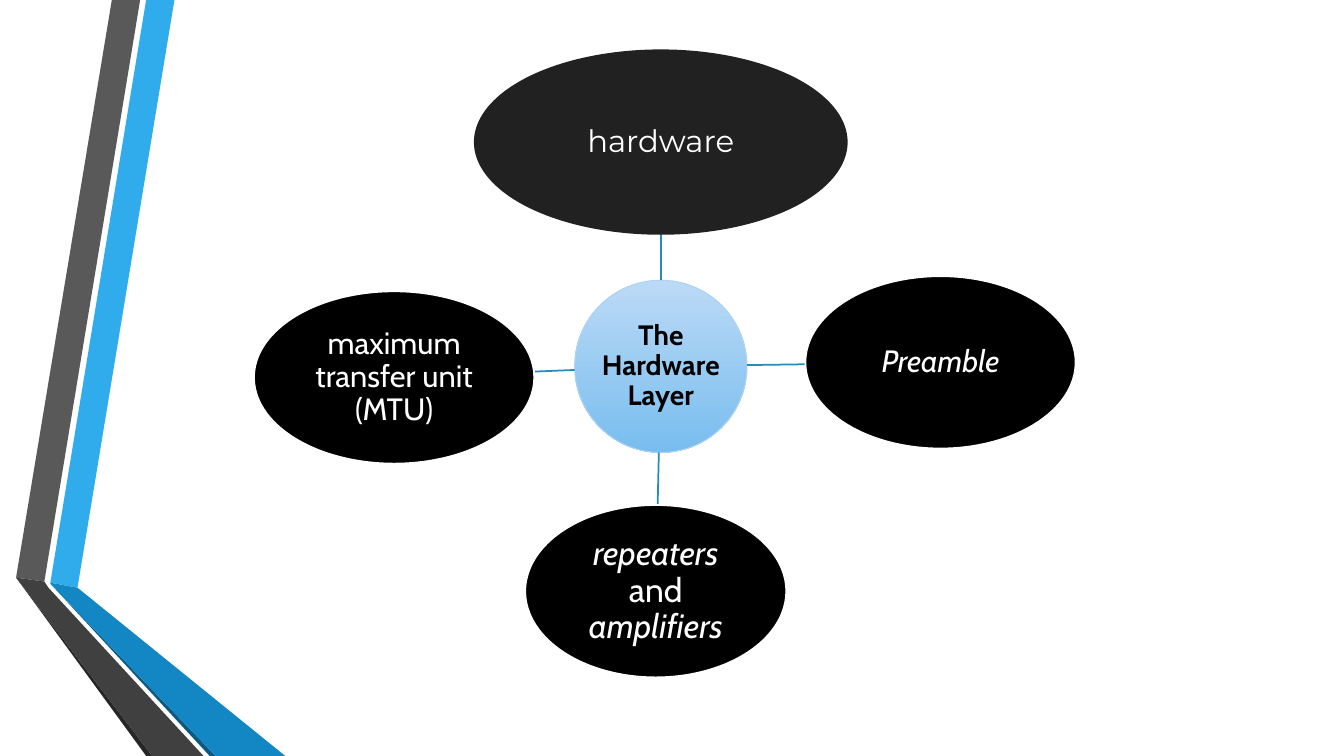
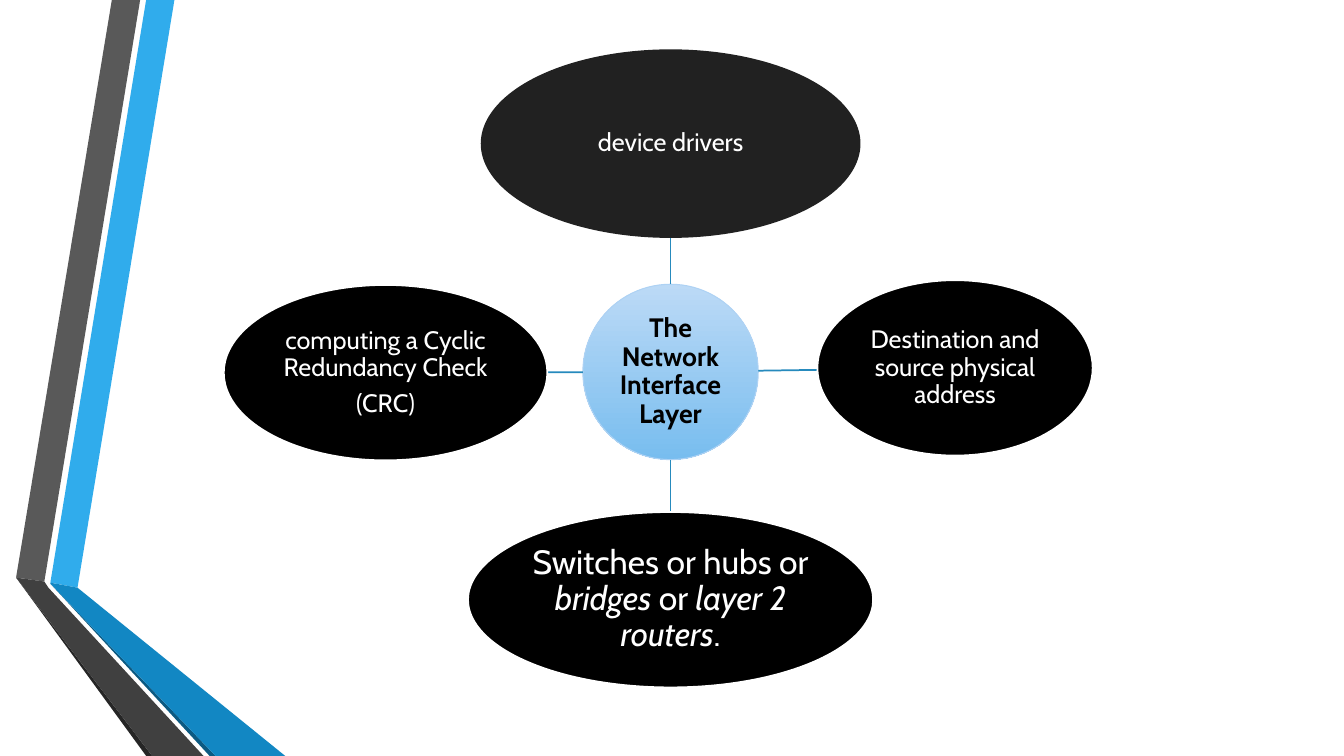
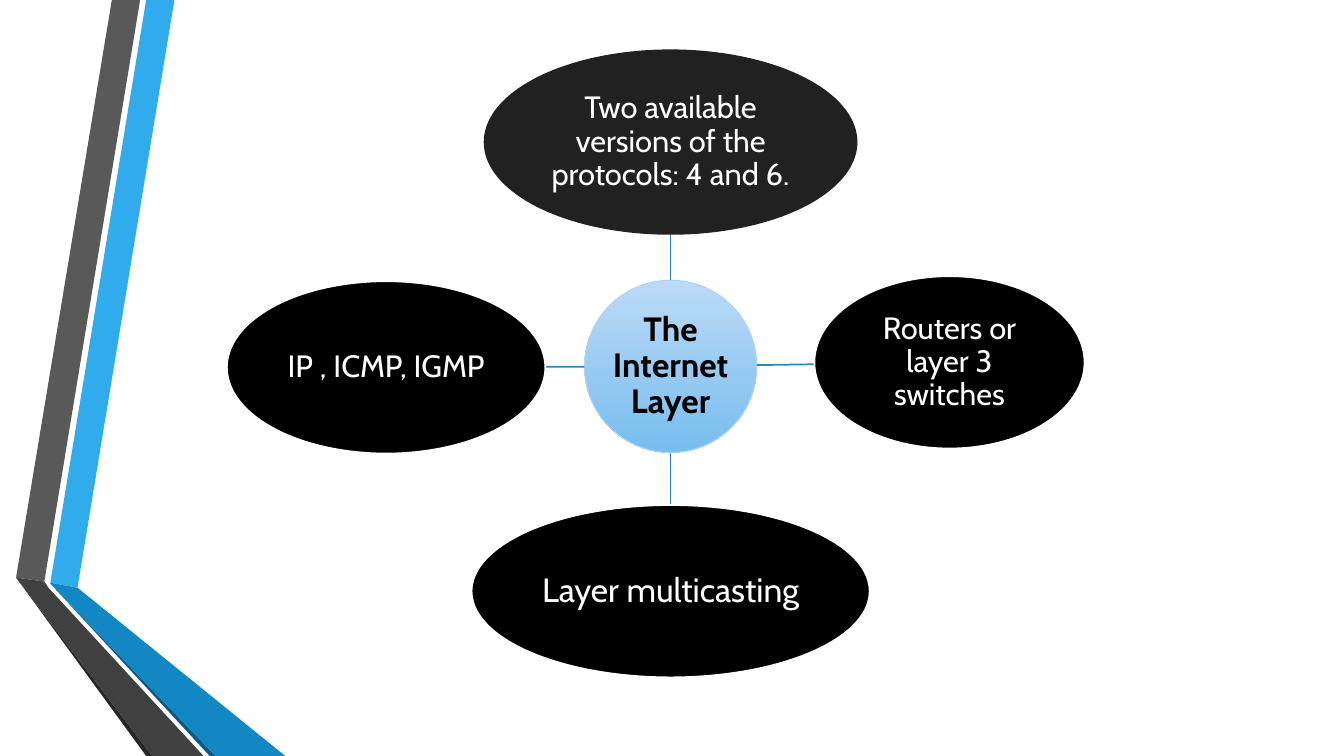
from math import hypot
from pptx import Presentation
from pptx.dml.color import RGBColor
from pptx.enum import shapes, text
from pptx.oxml.ns import qn
from pptx.util import Pt
from lxml import etree

BANDS = [
    ("30ACEC", [(36, 416.2), (55.4, 419.8), (124.6, 0), (104.4, 0)]),
    ("595959", [(100.1, 0), (79.9, 0), (11.5, 412.6), (31.7, 415.4)]),
    ("262626", [(11.5, 412.6), (104.4, 540), (108.7, 540)]),
    ("0C5A82", [(36, 416.9), (149.8, 540), (154.1, 540)]),
    ("1287C3", [(36, 416.9), (154.1, 540), (203.8, 540), (55.4, 419.8), (36, 416.2)]),
    ("404040", [(145.4, 540), (34.6, 419.8), (31.7, 415.4), (11.5, 412.6), (108.7, 540)]),
]
BLACK, WHITE, DARK, LINK = "000000", "FFFFFF", "212121", "268ABD"
RIM, SHADES = "AED2F4", ("BCDAF6", "78BDEF")
FONT = "Cabin"
TALL = 1.065

# Each node: text, centre x, centre y, width, text size, font
SLIDES = [
    {"hub": ("The Hardware Layer", 472, 261.7, 123.1, 20),
     "top": ("hardware", 472, 101.5, 265.7, 22, "Montserrat"),
     "nodes": [
         ("*Preamble*", 671.8, 258.8, 193, 22),
         ("*repeaters* and *amplifiers*", 468.4, 422.3, 186.5, 24),
         ("maximum transfer unit (MTU)", 281.5, 269.6, 200.2, 22)]},
    {"hub": ("The Network Interface Layer", 479, 265.7, 125.3, 19),
     "top": ("device drivers", 479, 102.6, 270, 18),
     "nodes": [
         ("Destination and source physical address", 682.2, 262.8, 196.6, 18),
         ("Switches or hubs or *bridges* or *layer 2 routers*.", 479, 428.4, 289.4, 24),
         ("computing a Cyclic Redundancy Check\n(CRC)", 275.4, 266.2, 231.1, 18)]},
    {"hub": ("The Internet Layer", 479, 261.7, 123.1, 24),
     "top": ("Two available versions of the protocols: 4 and 6.", 479, 101.5, 265.7, 22),
     "nodes": [
         ("Routers or layer 3 switches", 678.2, 258.8, 193, 22),
         ("Layer multicasting", 479, 422.3, 284.4, 24),
         ("IP , ICMP, IGMP", 275.8, 262.4, 227.5, 22)]},
]


def rgb(code):
    return RGBColor.from_string(code)


def add_bands(slide, master):
    for num, (color, pts) in enumerate(BANDS, 1):
        pts = [(Pt(x), Pt(y)) for x, y in pts]
        pen = slide.shapes.build_freeform(*pts[0])
        pen.add_line_segments(pts[1:], close=True)
        band = pen.convert_to_shape()
        band.name = f"Band {num}"
        band.shadow.inherit = False
        band.fill.solid()
        band.fill.fore_color.rgb = rgb(color)
        band.line.fill.background()
        band.element.nvSpPr.cNvPr.id = 20 + num
        master.shapes.element.append(band.element)


def add_oval(slide, node, high, line, weight, ink=WHITE, bold=False):
    words, x, y, wide, size, *font = node
    oval = slide.shapes.add_shape(
        shapes.MSO_SHAPE.OVAL, Pt(x - wide / 2), Pt(y - high / 2), Pt(wide), Pt(high))
    oval.shadow.inherit = False
    oval.line.color.rgb = rgb(line)
    oval.line.width = Pt(weight)
    frame = oval.text_frame
    frame.word_wrap = True
    frame.vertical_anchor = text.MSO_ANCHOR.MIDDLE
    frame.margin_left = frame.margin_right = Pt(1.2)
    frame.margin_top = frame.margin_bottom = Pt(1.2)
    frame.text = words.replace("*", "")
    for para, row in zip(frame.paragraphs, words.split("\n")):
        para.alignment = text.PP_ALIGN.CENTER
        para.line_spacing = 0.9
        para.space_after = Pt(round(size * 0.35, 1))
        para.clear()
        for num, part in enumerate(row.split("*")):
            if part:
                run = para.add_run()
                run.text = part
                run.font.size = Pt(size)
                run.font.name = font[0] if font else FONT
                run.font.bold = bold
                run.font.italic = num % 2 == 1
                run.font.color.rgb = rgb(ink)
    return oval


def add_link(slide, hub, node, high):
    x, y, wide = hub[1:4]
    dx, dy = node[1] - x, node[2] - y
    start = wide / 2 / hypot(dx, dy)
    end = 1 - 1 / hypot(dx / (node[3] / 2), dy / (high / 2))
    link = slide.shapes.add_connector(
        shapes.MSO_CONNECTOR.STRAIGHT,
        Pt(x + dx * start), Pt(y + dy * start), Pt(x + dx * end), Pt(y + dy * end))
    link.line.color.rgb = rgb(LINK)
    link.line.width = Pt(1.25)
    etree.SubElement(link.element.spPr, qn("a:effectLst"))


def add_wheel(slide, data):
    hub = data["hub"]
    size = hub[3]
    core = add_oval(slide, hub, size, RIM, 0.75, BLACK, True)
    core.fill.gradient()
    core.fill.gradient_angle = 270
    for stop, color in zip(core.fill.gradient_stops, SHADES):
        stop.color.rgb = rgb(color)
    ring = [(data["top"], size * TALL, DARK, DARK)]
    ring += [(node, size, BLACK, WHITE) for node in data["nodes"]]
    for node, high, fill, line in ring:
        add_link(slide, hub, node, high)
        oval = add_oval(slide, node, high, line, 1.25)
        oval.fill.solid()
        oval.fill.fore_color.rgb = rgb(fill)


def main():
    deck = Presentation()
    deck.slide_width, deck.slide_height = Pt(960), Pt(540)
    blank = deck.slide_layouts[6]
    pages = [deck.slides.add_slide(blank) for _ in SLIDES]
    add_bands(pages[0], deck.slide_master)
    for slide, data in zip(pages, SLIDES):
        add_wheel(slide, data)
    deck.save("out.pptx")


if __name__ == "__main__":
    main()
